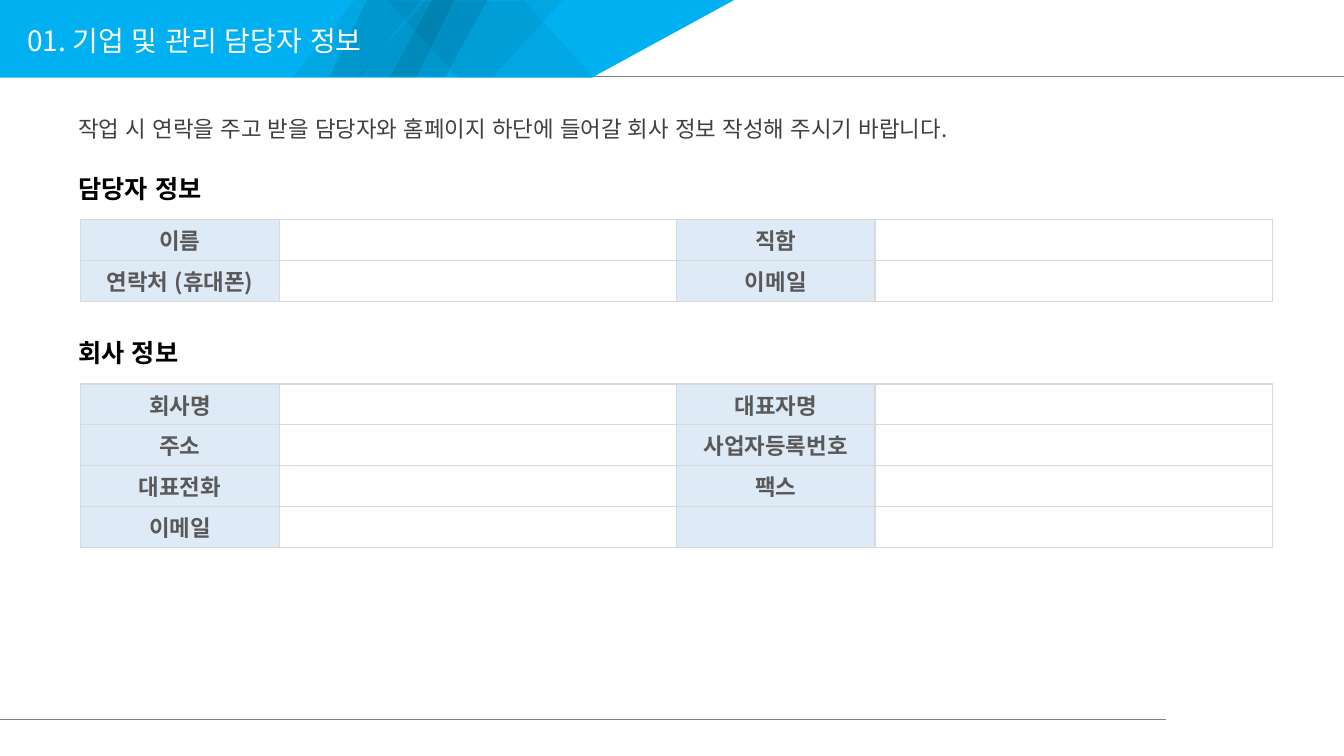
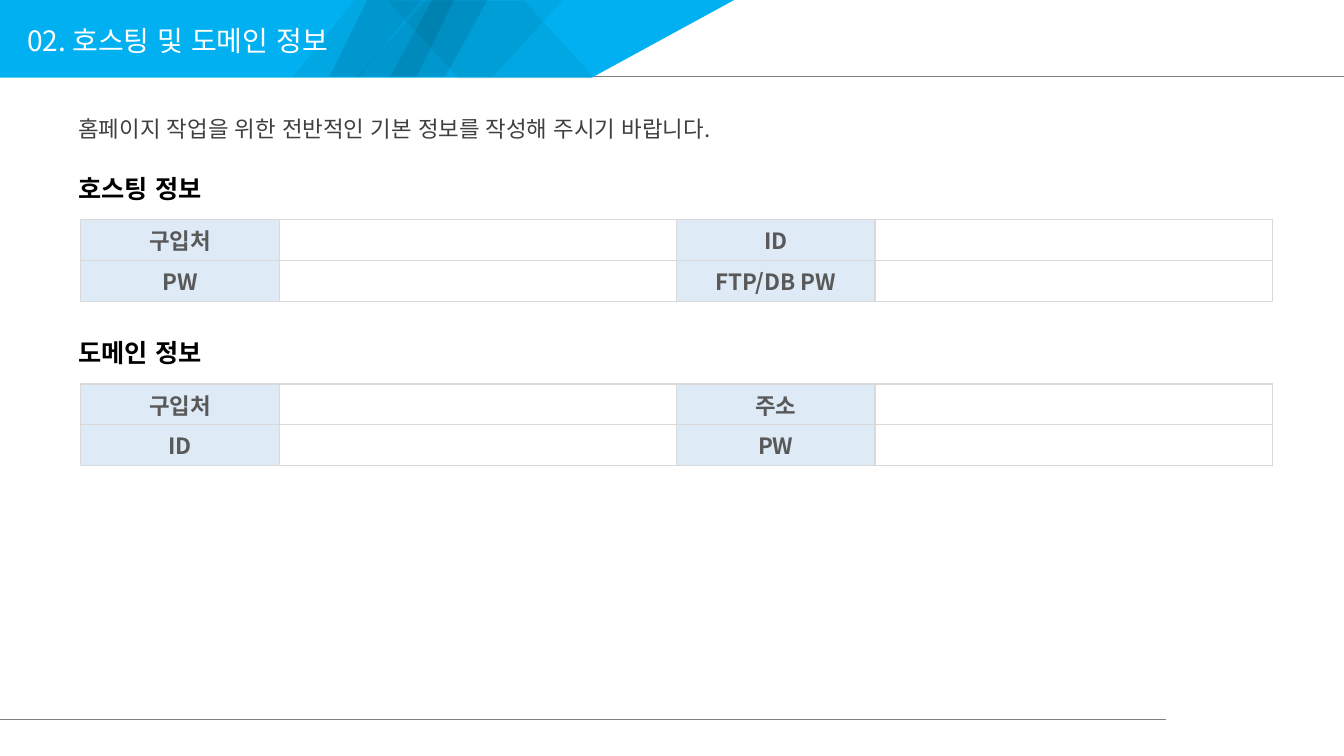
from lxml import etree
from pptx import Presentation
from pptx.dml.color import RGBColor
from pptx.enum.lang import MSO_LANGUAGE_ID
from pptx.enum.shapes import MSO_CONNECTOR, MSO_SHAPE
from pptx.enum.text import MSO_ANCHOR, MSO_AUTO_SIZE, PP_ALIGN
from pptx.oxml.ns import qn
from pptx.util import Inches, Pt

FONT = "Noto Sans CJK KR"
BAND, RULE, GRID = "00B0F0", "808080", "D9D9D9"
LABEL_FILL, ENTRY_FILL = "DEEBF7", "FFFFFF"

# Text styles shared by the slides
TITLE = {"size": 20, "color": "FFFFFF", "bold": False}
INTRO = {"size": 16, "color": "404040", "bold": False}
HEADING = {"size": 18, "color": "000000", "bold": True}
LABEL = {"size": 16, "color": "595959", "bold": True}

# Band facets: left, top, width, slant, opacity in percent, mirrored
FACET_HEIGHT = 0.77
FACETS = [
    (3.27, -0.01, 1.24, 0.49, 9, False),
    (3.87, -0.01, 0.97, 0.55, 9, False),
    (3.54, -0.01, 2.05, 0.91, 5, False),
    (2.91, -0.01, 1.27, 0.8, 5, False),
    (3.85, 0.01, 2.05, 0.91, 5, True),
]

COLUMNS = [1.97, 3.94, 1.97, 3.94]
ROW_HEIGHT = 0.405
SECTION_LEFT, SECTION_TOP = 0.68, 1.67

SLIDES = [
    ("01. 기업 및 관리 담당자 정보",
     "작업 시 연락을 주고 받을 담당자와 홈페이지 하단에 들어갈 회사 정보 작성해 주시기 바랍니다.",
     [("담당자 정보", [("이름", "직함"), ("연락처 (휴대폰)", "이메일")]),
      ("회사 정보", [("회사명", "대표자명"), ("주소", "사업자등록번호"),
                 ("대표전화", "팩스"), ("이메일", "")])]),
    ("02. 호스팅 및 도메인 정보",
     "홈페이지 작업을 위한 전반적인 기본 정보를 작성해 주시기 바랍니다.",
     [("호스팅 정보", [("구입처", "ID"), ("PW", "FTP/DB PW")]),
      ("도메인 정보", [("구입처", "주소"), ("ID", "PW")])]),
]


def rgb(value):
    return RGBColor.from_string(value)


def paint(shape, color, opacity=100):
    """Flat fill without outline or shadow."""
    shape.shadow.inherit = False
    shape.fill.solid()
    shape.fill.fore_color.rgb = rgb(color)
    shape.line.fill.background()
    if opacity < 100:
        tint = shape.fill._xPr.find(".//" + qn("a:srgbClr"))
        etree.SubElement(tint, qn("a:alpha"), val=str(opacity * 1000))


def write(paragraph, text, style):
    run = paragraph.add_run()
    run.text = text
    values = {"name": FONT, "size": Pt(style["size"]), "bold": style["bold"],
              "language_id": MSO_LANGUAGE_ID.KOREAN}
    for name, value in values.items():
        setattr(run.font, name, value)
    run.font.color.rgb = rgb(style["color"])
    latin = run._r.rPr.find(qn("a:latin"))
    latin.addnext(latin.makeelement(qn("a:ea"), {"typeface": FONT}))


def add_text(slide, left, top, width, height, text, style):
    box = slide.shapes.add_textbox(*map(Inches, (left, top, width, height)))
    box.text_frame.word_wrap = True
    box.text_frame.auto_size = MSO_AUTO_SIZE.SHAPE_TO_FIT_TEXT
    write(box.text_frame.paragraphs[0], text, style)


def add_rule(slide, left, right, y, weight):
    rule = slide.shapes.add_connector(
        MSO_CONNECTOR.STRAIGHT, *map(Inches, (left, y, right, y)))
    rule.line.color.rgb = rgb(RULE)
    rule.line.width = Pt(weight)
    etree.SubElement(rule._element.spPr, qn("a:effectLst"))


def add_frame(slide, title):
    """Header band with title, and the rules at head and foot."""
    add_rule(slide, 0, 13.33, 0.76, 0.75)
    add_rule(slide, -0.02, 11.56, 7.14, 0.5)

    outline = slide.shapes.build_freeform(0, Inches(-0.01))
    outline.add_line_segments(
        [(Inches(x), Inches(y)) for x, y in ((7.3, -0.01), (5.87, 0.77), (0, 0.77))])
    paint(outline.convert_to_shape(), BAND)

    for left, top, width, slant, opacity, mirrored in FACETS:
        facet = slide.shapes.add_shape(
            MSO_SHAPE.PARALLELOGRAM, *map(Inches, (left, top, width, FACET_HEIGHT)))
        facet.adjustments[0] = slant
        paint(facet, "000000", opacity)
        if mirrored:
            facet._element.spPr.xfrm.set("flipH", "1")

    add_text(slide, 0.17, 0.18, 5.73, 0.44, title, TITLE)


def set_borders(cell):
    properties = cell._tc.get_or_add_tcPr()
    for position, side in enumerate(("a:lnL", "a:lnR", "a:lnT", "a:lnB")):
        border = properties.makeelement(qn(side), {"w": str(Pt(1))})
        fill = etree.SubElement(border, qn("a:solidFill"))
        etree.SubElement(fill, qn("a:srgbClr"), val=GRID)
        properties.insert(position, border)


def fill_cell(cell, text, color):
    cell.fill.solid()
    cell.fill.fore_color.rgb = rgb(color)
    values = {"vertical_anchor": MSO_ANCHOR.MIDDLE,
              "margin_top": Inches(0.03), "margin_bottom": Inches(0.03)}
    for name, value in values.items():
        setattr(cell, name, value)
    set_borders(cell)
    paragraph = cell.text_frame.paragraphs[0]
    paragraph.alignment = PP_ALIGN.CENTER
    if text:
        write(paragraph, text, LABEL)
    else:
        # An empty cell must not be taller than a labelled one
        paragraph._p.get_or_add_endParaRPr().set("sz", str(LABEL["size"] * 100))


def add_section(slide, left, top, heading, fields):
    """Heading over a form table; returns the height taken."""
    add_text(slide, left, top, 4.57, 0.4, heading, HEADING)
    table_height = ROW_HEIGHT * len(fields)
    table = slide.shapes.add_table(
        len(fields), len(COLUMNS), Inches(left + 0.12), Inches(top + 0.51),
        Inches(sum(COLUMNS)), Inches(table_height)).table
    table.first_row = table.horz_banding = False
    for column, width in zip(table.columns, COLUMNS):
        column.width = Inches(width)
    for row, (first, second) in enumerate(fields):
        table.rows[row].height = Inches(ROW_HEIGHT)
        for column, text in enumerate((first, "", second, "")):
            color = ENTRY_FILL if column % 2 else LABEL_FILL
            fill_cell(table.cell(row, column), text, color)
    return 0.51 + table_height


def add_form_slide(deck, title, intro, sections):
    slide = deck.slides.add_slide(deck.slide_layouts[6])
    add_frame(slide, title)
    add_text(slide, SECTION_LEFT, 1.09, 9.32, 0.37, intro, INTRO)
    top = SECTION_TOP
    for heading, fields in sections:
        top += add_section(slide, SECTION_LEFT, top, heading, fields) + 0.31


def main():
    deck = Presentation()
    deck.slide_width, deck.slide_height = Inches(13.33), Inches(7.5)
    for content in SLIDES:
        add_form_slide(deck, *content)
    deck.save("out.pptx")


if __name__ == "__main__":
    main()
